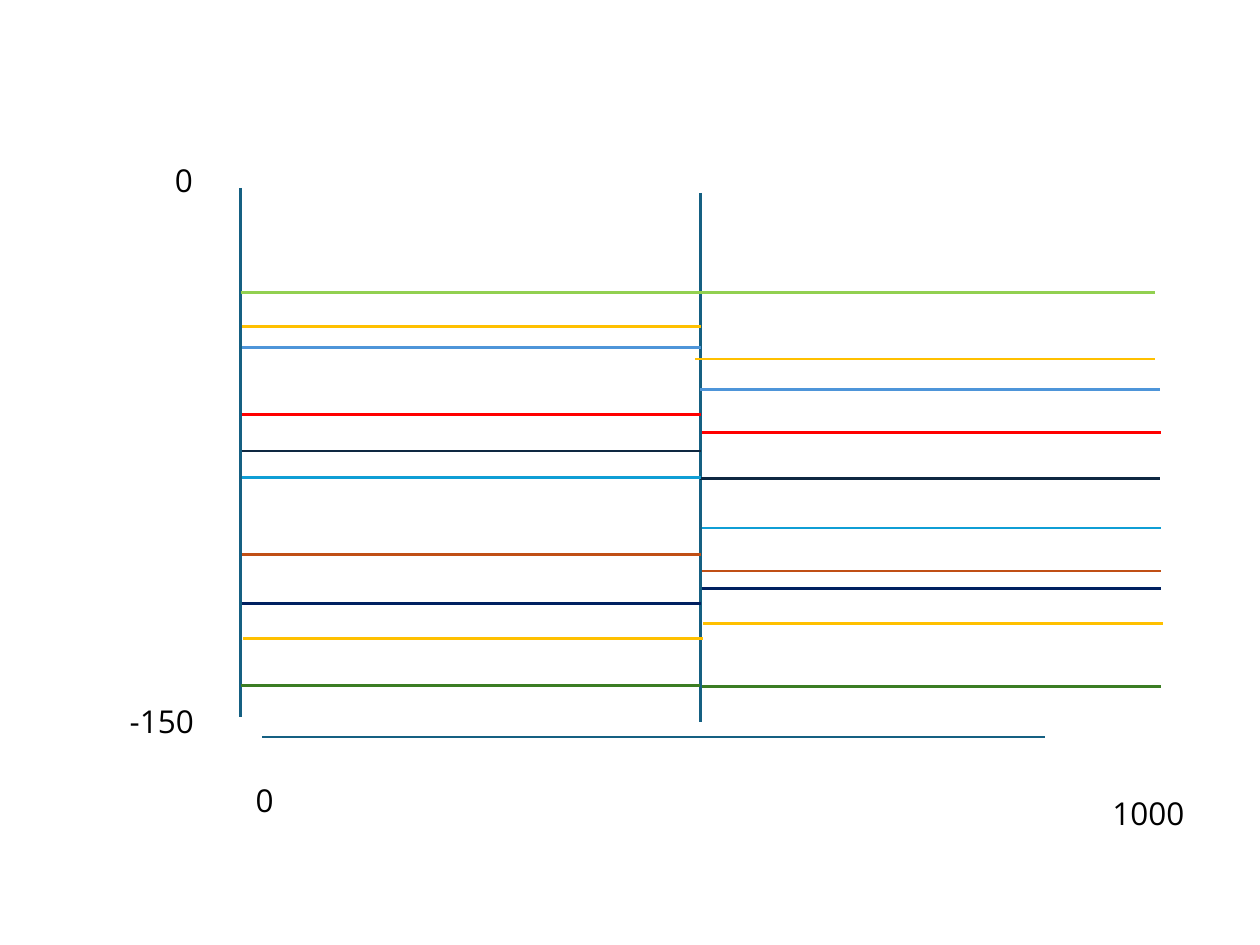
from pptx import Presentation
from pptx.dml.color import RGBColor
from pptx.enum.shapes import MSO_CONNECTOR
from pptx.enum.text import MSO_AUTO_SIZE
from pptx.oxml.ns import qn
from pptx.util import Pt
from lxml.etree import SubElement

COLORS = {
    "axis": "156082", "lime": "92D050", "gold": "FFC000", "blue": "4E95D9",
    "red": "FF0000", "ink": "0E2841", "cyan": "0F9ED5", "rust": "C04F15",
    "navy": "002060", "green": "3B7D23", "text": "000000",
}
FONT = "Open Sans"
LEVEL_WIDTH = 262.6

# Axes and the divider between the halves: x1, y1, x2, y2
AXES = [
    (137.5, 107.3, 137.5, 409.7),
    (596.9, 421.2, 149.8, 421.2),
    (400.3, 110.2, 400.3, 412.6),
]

# Each level: colour, then (x, y) of its start in the left and right half
LEVELS = [
    ("lime", (137.5, 167), (397.4, 167)),
    ("gold", (138.2, 186.5), (397.4, 205.2)),
    ("blue", (138.2, 198.7), (400.3, 222.5)),
    ("red", (138.2, 236.9), (401, 247)),
    ("ink", (138.2, 257.8), (400.3, 273.6)),
    ("cyan", (138.2, 272.9), (401, 301.7)),
    ("rust", (138.2, 316.8), (401, 326.2)),
    ("navy", (138.2, 344.9), (401, 336.2)),
    ("gold", (139, 365), (401.8, 356.4)),
    ("green", (137.5, 391.7), (401, 392.4)),
]

# Axis labels: text, left, top, width, wrap
LABELS = [
    ("0", 139, 442.8, 24.5, False),
    ("1000", 628.6, 450, 63.4, True),
    ("0", 92.9, 88.6, 36, True),
    ("-150", 67, 397.4, 72.7, True),
]


def add_line(page, x1, y1, x2, y2, color):
    line = page.shapes.add_connector(
        MSO_CONNECTOR.STRAIGHT, Pt(x1), Pt(y1), Pt(x2), Pt(y2))
    line.line.color.rgb = RGBColor.from_string(COLORS[color])
    line.line.width = Pt(1.5)
    SubElement(line._element.spPr, qn("a:effectLst"))


def add_label(page, text, left, top, width, wrap):
    box = page.shapes.add_textbox(Pt(left), Pt(top), Pt(width), Pt(29))
    frame = box.text_frame
    frame.text = text
    frame.word_wrap = wrap
    frame.auto_size = MSO_AUTO_SIZE.SHAPE_TO_FIT_TEXT
    font = frame.paragraphs[0].runs[0].font
    font.name = FONT
    font.size = Pt(18)
    font.color.rgb = RGBColor.from_string(COLORS["text"])


def main():
    deck = Presentation()
    deck.slide_width, deck.slide_height = Pt(720), Pt(540)
    page = deck.slides.add_slide(deck.slide_layouts[6])

    for ends in AXES:
        add_line(page, *ends, "axis")
    for color, *starts in LEVELS:
        for x, y in starts:
            add_line(page, x, y, x + LEVEL_WIDTH, y, color)
    for label in LABELS:
        add_label(page, *label)

    deck.save("out.pptx")


if __name__ == "__main__":
    main()
